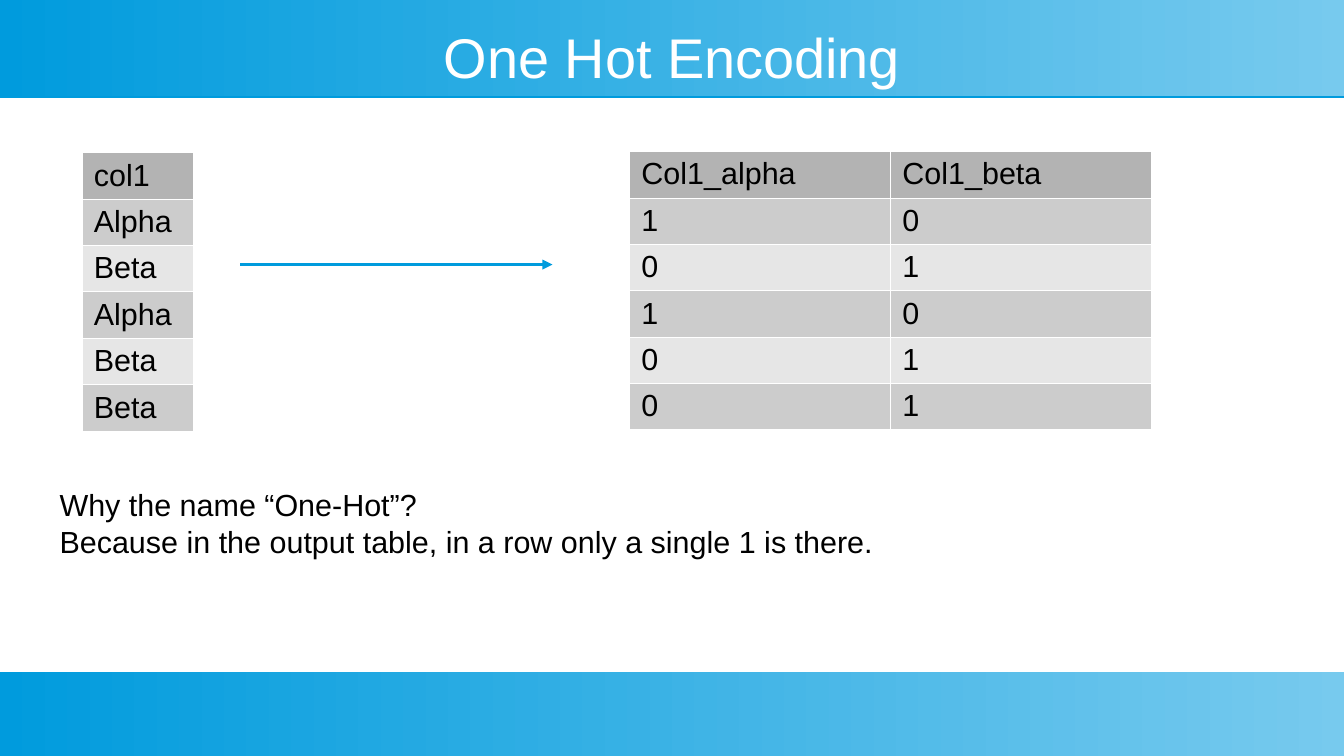
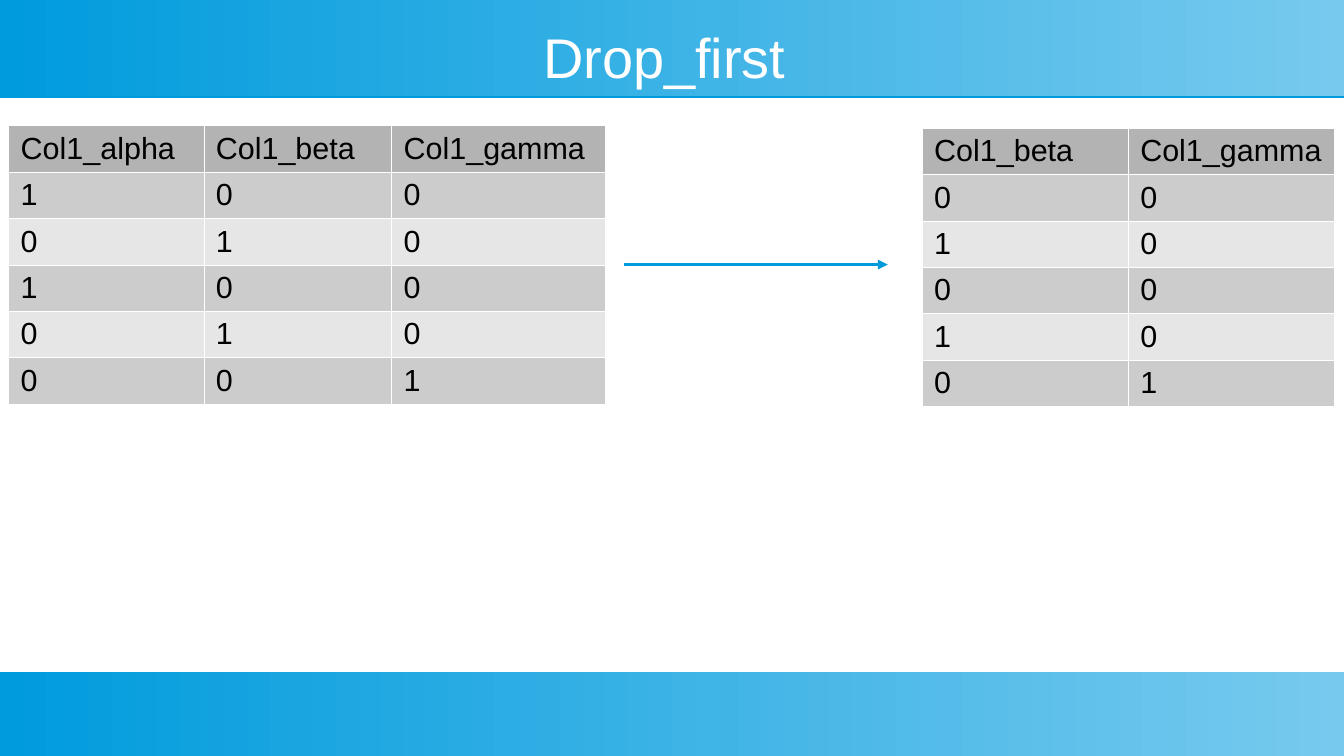
from dataclasses import dataclass

from lxml.etree import SubElement
from pptx import Presentation
from pptx.dml.color import RGBColor
from pptx.enum.shapes import MSO_CONNECTOR, MSO_SHAPE
from pptx.enum.text import MSO_ANCHOR, MSO_AUTO_SIZE, PP_ALIGN
from pptx.oxml import parse_xml
from pptx.oxml.ns import nsdecls, qn
from pptx.util import Inches, Pt

WIDTH, HEIGHT = 11.02, 6.2
FONT = "Arial"
BLUE, LIGHT_BLUE = "009BDD", "77CAEE"
WHITE, BLACK = "FFFFFF", "000000"
HEADER_FILL = "B3B3B3"
ROW_FILLS = ("CCCCCC", "E6E6E6")
ROW_HEIGHT = 0.38
ARROW_Y = 2.17


@dataclass
class Grid:
    left: float
    top: float
    col_widths: list[float]
    rows: list[list[str]]


@dataclass
class Arrow:
    start: float
    end: float


@dataclass
class Page:
    title: str
    grids: list[Grid]
    arrow: Arrow
    note: tuple[str, ...] = ()


def rgb(color: str) -> RGBColor:
    return RGBColor.from_string(color)


def one_hot(values: list[str], categories: list[str]) -> list[list[str]]:
    """Header row, then one row of 0s and a single 1 per value."""
    header = [f"Col1_{c.lower()}" for c in categories]
    return [header] + [["1" if v == c else "0" for c in categories] for v in values]


def add_text(p, text: str, size: float, color: str) -> None:
    r = p.add_run()
    r.text = text
    r.font.name = FONT
    r.font.size = Pt(size)
    r.font.color.rgb = rgb(color)


def add_band(s, top: float, height: float):
    """Blue gradient band with a thin hard shadow below it."""
    sp = s.shapes.add_shape(MSO_SHAPE.RECTANGLE, 0, Inches(top), Inches(WIDTH), Inches(height))
    sp.fill.gradient()
    sp.fill.gradient_angle = 0
    for stop, color in zip(sp.fill.gradient_stops, (BLUE, LIGHT_BLUE)):
        stop.color.rgb = rgb(color)
    sp.line.fill.background()
    sp.shadow.inherit = False
    effects = sp.element.spPr.find(qn("a:effectLst"))
    shadow = SubElement(effects, qn("a:outerShdw"), dist=str(Pt(0.9)), dir="5400000",
                        algn="ctr", rotWithShape="0")
    SubElement(shadow, qn("a:srgbClr"), val=BLUE)
    return sp


def style_layout(layout, s) -> None:
    """Set up the title and move the bands into the shared layout."""
    for ph in list(layout.placeholders):
        if ph.placeholder_format.idx != 0:
            ph.element.getparent().remove(ph.element)
            continue
        ph.left, ph.top = Inches(0.39), Inches(0.2)
        ph.width, ph.height = Inches(10.24), Inches(0.52)
        tf = ph.text_frame
        tf.margin_left = tf.margin_right = tf.margin_top = tf.margin_bottom = 0
        tf.vertical_anchor = MSO_ANCHOR.MIDDLE
        tf.auto_size = MSO_AUTO_SIZE.NONE
    for top, height in ((0, 0.79), (5.51, 0.69)):
        layout.shapes.element.insert(2, add_band(s, top, height).element)


def set_borders(cell) -> None:
    tc_pr = cell._tc.get_or_add_tcPr()
    for i, side in enumerate(("lnL", "lnR", "lnT", "lnB")):
        tc_pr.insert(i, parse_xml(
            f'<a:{side} {nsdecls("a")} w="{Pt(0.06)}"><a:solidFill>'
            f'<a:srgbClr val="{WHITE}"/></a:solidFill></a:{side}>'))


def add_grid(s, grid: Grid) -> None:
    n_rows, n_cols = len(grid.rows), len(grid.col_widths)
    table = s.shapes.add_table(n_rows, n_cols, Inches(grid.left), Inches(grid.top),
                               Inches(sum(grid.col_widths)), Inches(ROW_HEIGHT * n_rows)).table
    table.first_row = table.horz_banding = False
    for col, width in zip(table.columns, grid.col_widths):
        col.width = Inches(width)
    for i, values in enumerate(grid.rows):
        table.rows[i].height = Inches(ROW_HEIGHT)
        fill = ROW_FILLS[(i - 1) % 2] if i else HEADER_FILL
        for j, value in enumerate(values):
            cell = table.cell(i, j)
            cell.fill.solid()
            cell.fill.fore_color.rgb = rgb(fill)
            set_borders(cell)
            add_text(cell.text_frame.paragraphs[0], value, 18, BLACK)


def add_arrow(s, arrow: Arrow) -> None:
    line = s.shapes.add_connector(MSO_CONNECTOR.STRAIGHT, Inches(arrow.start), Inches(ARROW_Y),
                                  Inches(arrow.end), Inches(ARROW_Y))
    line.line.color.rgb = rgb(BLUE)
    line.line.width = Pt(1.42)
    SubElement(line.line._get_or_add_ln(), qn("a:tailEnd"), type="triangle")
    SubElement(line.element.spPr, qn("a:effectLst"))


def add_note(s, lines: tuple[str, ...]) -> None:
    tf = s.shapes.add_textbox(Inches(0.39), Inches(3.94), Inches(9.84), Inches(0.66)).text_frame
    tf.word_wrap = True
    tf.auto_size = MSO_AUTO_SIZE.SHAPE_TO_FIT_TEXT
    for i, text in enumerate(lines):
        p = tf.add_paragraph() if i else tf.paragraphs[0]
        add_text(p, text, 18, BLACK)


def fill_page(s, page: Page) -> None:
    p = s.shapes.title.text_frame.paragraphs[0]
    p.alignment = PP_ALIGN.CENTER
    add_text(p, page.title, 33, WHITE)
    for grid in page.grids:
        add_grid(s, grid)
    add_arrow(s, page.arrow)
    if page.note:
        add_note(s, page.note)


def build_pages() -> list[Page]:
    # Two categories, encoded into two columns
    values = ["Alpha", "Beta", "Alpha", "Beta", "Beta"]
    source = [["col1"]] + [[v] for v in values]
    encoded = one_hot(values, ["Alpha", "Beta"])
    # Three categories, then the same rows without the first column
    full = one_hot(["Alpha", "Beta", "Alpha", "Beta", "Gamma"], ["Alpha", "Beta", "Gamma"])
    dropped = [row[1:] for row in full]
    return [
        Page("One Hot Encoding",
             [Grid(0.67, 1.25, [0.91], source), Grid(5.16, 1.24, [2.14] * 2, encoded)],
             Arrow(1.97, 4.53),
             ("Why the name “One-Hot”?",
              "Because in the output table, in a row only a single 1 is there.")),
        Page("Drop_first ",
             [Grid(0.07, 1.03, [1.6, 1.54, 1.75], full), Grid(7.56, 1.05, [1.69] * 2, dropped)],
             Arrow(5.12, 7.28)),
    ]


def main() -> None:
    prs = Presentation()
    prs.slide_width, prs.slide_height = Inches(WIDTH), Inches(HEIGHT)
    layout = prs.slide_layouts.get_by_name("Title Only")
    for i, page in enumerate(build_pages()):
        s = prs.slides.add_slide(layout)
        if i == 0:
            style_layout(layout, s)
        fill_page(s, page)
    prs.save("out.pptx")


if __name__ == "__main__":
    main()
